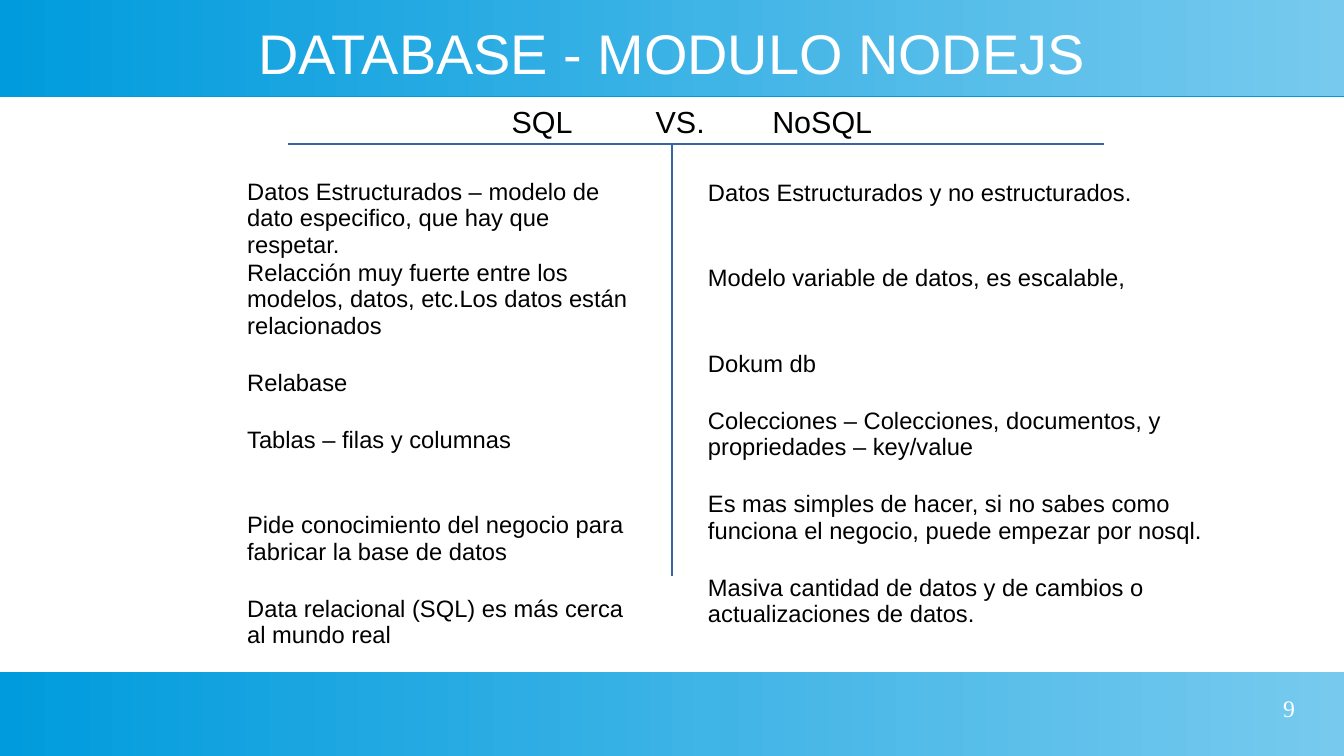
from lxml import etree
from pptx import Presentation
from pptx.dml.color import RGBColor
from pptx.enum.shapes import MSO_CONNECTOR, MSO_SHAPE
from pptx.enum.text import MSO_ANCHOR, PP_ALIGN
from pptx.oxml.ns import qn
from pptx.util import Cm, Pt

RECT = MSO_SHAPE.RECTANGLE
STRAIGHT = MSO_CONNECTOR.STRAIGHT
TOP, MIDDLE = MSO_ANCHOR.TOP, MSO_ANCHOR.MIDDLE
LEFT, CENTER, RIGHT = PP_ALIGN.LEFT, PP_ALIGN.CENTER, PP_ALIGN.RIGHT
WIDE, HIGH = 28, 15.75
BLANK = 16.8  # height in points of one skipped line of body text


def color(code):
    return RGBColor.from_string(code)


def write(lines, box, size=14, font="Arial", ink="000000", align=LEFT,
          anchor=TOP, pad=(0.25, 0.13), tabs=()):
    """Add a text box; each line is (skipped lines above it, text)."""
    frame = slide.shapes.add_textbox(*map(Cm, box)).text_frame
    frame.word_wrap = True
    frame.vertical_anchor = anchor
    frame.margin_left = frame.margin_right = Cm(pad[0])
    frame.margin_top = frame.margin_bottom = Cm(pad[1])
    for i, (skip, text) in enumerate(lines):
        para = frame.add_paragraph() if i else frame.paragraphs[0]
        para.alignment = align
        para.line_spacing = 0.93
        para.space_before = Pt(0.6 + skip * BLANK)
        para.space_after = Pt(0.6)
        if tabs:
            stops = etree.SubElement(para._p.get_or_add_pPr(), qn("a:tabLst"))
            for tab in tabs:
                etree.SubElement(stops, qn("a:tab"), pos=str(Cm(tab)), algn="l")
        run = para.add_run()
        run.text = text
        run.font.size = Pt(size)
        run.font.name = font
        run.font.color.rgb = color(ink)


deck = Presentation()
deck.slide_width, deck.slide_height = Cm(WIDE), Cm(HIGH)
slide = deck.slides.add_slide(deck.slide_layouts[6])

# Header and footer bands, each with a thin blue shadow below
for top, height in ((0, 2), (14, 1.75)):
    band = slide.shapes.add_shape(RECT, 0, Cm(top), Cm(WIDE), Cm(height))
    band.line.fill.background()
    band.fill.gradient()
    band.fill.gradient_angle = 180
    for stop, code in zip(band.fill.gradient_stops, ("77CAEE", "009BDD")):
        stop.color.rgb = color(code)
    band.shadow.inherit = False
    effect = band._element.spPr.find(qn("a:effectLst"))
    shade = etree.SubElement(effect, qn("a:outerShdw"), dist=str(Pt(0.9)),
                             dir="5400000", rotWithShape="0")
    etree.SubElement(shade, qn("a:srgbClr"), val="009BDD")

write([(0, "DATABASE - MODULO NODEJS")], (1, 0.5, 26, 1.32), size=33,
      ink="FFFFFF", align=CENTER, anchor=MIDDLE, pad=(0, 0))
write([(0, "SQL\tVS.\tNoSQL")], (10.41, 2.08, 8.4, 0.97), size=18,
      tabs=(3, 5.43))

# The T that parts the two columns
for ends in ((6, 3, 23, 3), (14, 3, 14, 12)):
    rule = slide.shapes.add_connector(STRAIGHT, *map(Cm, ends))
    rule.line.color.rgb = color("3465A4")
    rule.line.width = Pt(0.75)
    etree.SubElement(rule._element.spPr, qn("a:effectLst"))

sql = [
    (0, "Datos Estructurados – modelo de dato especifico, que hay que respetar."),
    (0, "Relacción muy fuerte entre los modelos, datos, etc.Los datos están relacionados"),
    (1, "Relabase"),
    (1, "Tablas – filas y columnas"),
    (2, "Pide conocimiento del negocio para fabricar la base de datos"),
    (1, "Data relacional (SQL) es más cerca al mundo real"),
]
nosql = [
    (0, "Datos Estructurados y no estructurados."),
    (2, "Modelo variable de datos, es escalable,"),
    (2, "Dokum db"),
    (1, "Colecciones – Colecciones, documentos, y propriedades – key/value"),
    (1, "Es mas simples de hacer, si no sabes como funciona el negocio, puede empezar por nosql."),
    (1, "Masiva cantidad de datos y de cambios o actualizaciones de datos."),
]
write(sql, (4.9, 3.6, 8.5, 9.85))
write(nosql, (14.5, 3.63, 11, 9.37))

write([(0, "9")], (20.5, 14.5, 6.48, 1), font="Times New Roman",
      ink="FFFFFF", align=RIGHT, pad=(0, 0))

deck.save("out.pptx")
